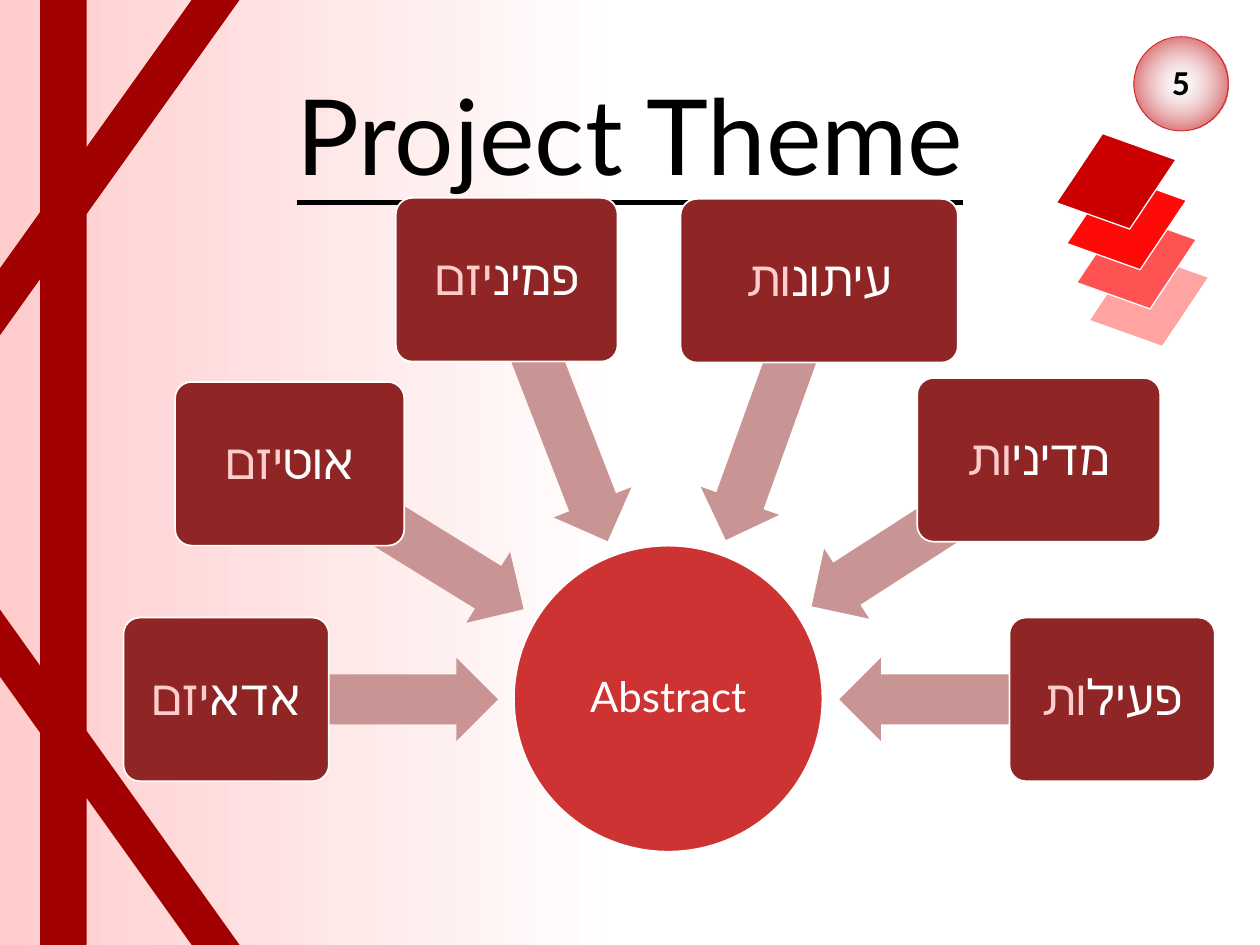
"""Build the Project Theme slide: six themes pointing at a central abstract."""
from dataclasses import dataclass
from typing import Optional

import pptx
import pptx.dml.color
import pptx.enum.shapes
import pptx.enum.text
import pptx.oxml
import pptx.oxml.ns
import pptx.util

Cm = pptx.util.Cm
Pt = pptx.util.Pt
RGBColor = pptx.dml.color.RGBColor
SHAPE = pptx.enum.shapes.MSO_SHAPE

BLACK = RGBColor(0x00, 0x00, 0x00)
WHITE = RGBColor(0xFF, 0xFF, 0xFF)
PINK = RGBColor(0xFF, 0xCC, 0xCC)
STRIPE = RGBColor(0xA1, 0x01, 0x01)
HUB = RGBColor(0xCD, 0x33, 0x33)
ARROW = RGBColor(0xC8, 0x94, 0x94)
CARD = RGBColor(0x8F, 0x25, 0x25)
RED = RGBColor(0xCC, 0x00, 0x00)
BADGE_CORE = RGBColor(0xF6, 0xF8, 0xFC)
BADGE_RIM = RGBColor(0xC0, 0x00, 0x00)

WIDTH, HEIGHT = 25.4, 19.05
STRIPE_W, STRIPE_H = 4.83, 6.76
ARROW_H, CARD_H = 1.68, 3.3
FONT = "Lato"


@dataclass
class Box:
    left: float
    top: float
    width: float
    height: float

    def lengths(self) -> tuple:
        return Cm(self.left), Cm(self.top), Cm(self.width), Cm(self.height)


@dataclass
class Theme:
    stem: str
    suffix: str
    card: Box
    arrow: Box
    angle: float


@dataclass
class Tile:
    left: float
    top: float
    color: RGBColor


THEMES = [
    Theme("אדא", "יזם", Box(2.49, 12.45, 4.14, CARD_H), Box(4.55, 13.26, 5.49, ARROW_H), 180),
    Theme("אוט", "יזם", Box(3.53, 7.7, 4.62, CARD_H), Box(5.41, 9.98, 5.56, ARROW_H), 211.7),
    Theme("פמינ", "יזם", Box(7.98, 3.99, 4.47, CARD_H), Box(8.41, 7.44, 5.64, ARROW_H), 248.8),
    Theme("עיתונ", "ות", Box(13.72, 4.01, 5.59, CARD_H), Box(12.8, 7.44, 5.54, ARROW_H), 289.8),
    Theme("מדיני", "ות", Box(18.49, 7.62, 4.9, CARD_H), Box(15.93, 9.91, 5.44, ARROW_H), 327.2),
    Theme("פעיל", "ות", Box(20.35, 12.45, 4.14, CARD_H), Box(16.92, 13.26, 5.49, ARROW_H), 0),
]

TILES = [
    Tile(22.17, 5.21, RGBColor(0xFF, 0xA3, 0xA3)),
    Tile(21.92, 4.45, RGBColor(0xFF, 0x53, 0x53)),
    Tile(21.72, 3.66, RGBColor(0xFF, 0x09, 0x09)),
    Tile(21.51, 2.84, RED),
]


def add_shape(s, kind, box: Box, fill: Optional[RGBColor] = None,
              line: Optional[RGBColor] = None, weight: float = 1,
              angle: float = 0, adj: tuple = ()):
    sp = s.shapes.add_shape(kind, *box.lengths())
    sp.shadow.inherit = False
    sp.rotation = angle
    for i, value in enumerate(adj):
        sp.adjustments[i] = value
    if fill is not None:
        sp.fill.solid()
        sp.fill.fore_color.rgb = fill
    if line is None:
        sp.line.fill.background()
    else:
        sp.line.color.rgb = line
        sp.line.width = Pt(weight)
    return sp


def set_text(sp, parts: list, size: float, font: str = FONT, inset: float = 0.15):
    """Write (text, colour) parts as one centred paragraph and return its runs."""
    tf = sp.text_frame
    tf.word_wrap = True
    tf.vertical_anchor = pptx.enum.text.MSO_ANCHOR.MIDDLE
    tf.margin_left = tf.margin_right = tf.margin_top = tf.margin_bottom = Cm(inset)
    p = tf.paragraphs[0]
    p.alignment = pptx.enum.text.PP_ALIGN.CENTER
    p.line_spacing = 0.9
    for text, color in parts:
        r = p.add_run()
        r.text = text
        r.font.size = Pt(size)
        r.font.name = font
        r.font.color.rgb = color
    return p.runs


def set_gradient(fill, stops: list):
    fill.gradient()
    for stop, (position, color) in zip(fill.gradient_stops, stops):
        stop.position = position
        stop.color.rgb = color


def set_alpha(clr, percent: int):
    alpha = pptx.oxml.parse_xml(
        f'<a:alpha {pptx.oxml.ns.nsdecls("a")} val="{percent * 1000}"/>')
    clr.append(alpha)


def add_badge(s, number: str):
    sp = add_shape(s, SHAPE.OVAL, Box(22.86, 0.74, 1.9, 1.9), line=RED, weight=0.5)
    set_gradient(sp.fill, [(0, BADGE_CORE), (1, BADGE_RIM)])
    grad = sp._element.xpath("./p:spPr/a:gradFill")[0]
    lin = grad.xpath("./a:lin")[0]
    grad.replace(lin, pptx.oxml.parse_xml(
        f'<a:path {pptx.oxml.ns.nsdecls("a")} path="circle">'
        '<a:fillToRect l="50000" t="50000" r="50000" b="50000"/></a:path>'))
    colors = grad.xpath(".//a:srgbClr") + sp._element.xpath(".//a:ln//a:srgbClr")
    for clr, percent in zip(colors, (20, 95, 70)):
        set_alpha(clr, percent)
    set_text(sp, [(number, BLACK)], 20, "Calibri", 0)[0].font.bold = True


def add_title(s, text: str):
    sp = s.shapes.add_textbox(*Box(1.75, 1.02, 21.9, 3.68).lengths())
    set_text(sp, [(text, BLACK)], 60)[0].font.underline = True


def add_stripes(s):
    add_shape(s, SHAPE.RECTANGLE, Box(0.81, 0, 0.94, HEIGHT), STRIPE)
    for top, flip in ((0, False), (HEIGHT - STRIPE_H, True)):
        sp = add_shape(s, SHAPE.DIAGONAL_STRIPE, Box(0, top, STRIPE_W, STRIPE_H),
                       STRIPE, adj=(0.8,))
        if flip:
            sp._element.xpath("./p:spPr/a:xfrm")[0].set("flipV", "1")


def add_theme(s, theme: Theme):
    add_shape(s, SHAPE.LEFT_ARROW, theme.arrow, ARROW, angle=theme.angle, adj=(0.6, 0.5))
    sp = add_shape(s, SHAPE.ROUNDED_RECTANGLE, theme.card, CARD, WHITE, adj=(0.1,))
    set_text(sp, [(theme.stem, WHITE), (theme.suffix, PINK)], 28)


def add_tile(s, tile: Tile):
    add_shape(s, SHAPE.PARALLELOGRAM, Box(tile.left, tile.top, 1.98, 1.63),
              tile.color, WHITE, 0.75, 19.7)


def main():
    prs = pptx.Presentation()
    prs.slide_width, prs.slide_height = Cm(WIDTH), Cm(HEIGHT)
    s = prs.slides.add_slide(prs.slide_layouts[6])
    set_gradient(s.background.fill, [(0, PINK), (0.5, WHITE)])
    s.background.fill.gradient_angle = 0
    add_badge(s, "5")
    add_title(s, "Project Theme")
    add_stripes(s)
    hub = add_shape(s, SHAPE.OVAL, Box(10.36, 11, 6.22, 6.17), HUB, WHITE)
    set_text(hub, [("Abstract", WHITE)], 24, inset=0.05)
    for theme in THEMES:
        add_theme(s, theme)
    for tile in TILES:
        add_tile(s, tile)
    prs.save("out.pptx")


if __name__ == "__main__":
    main()
